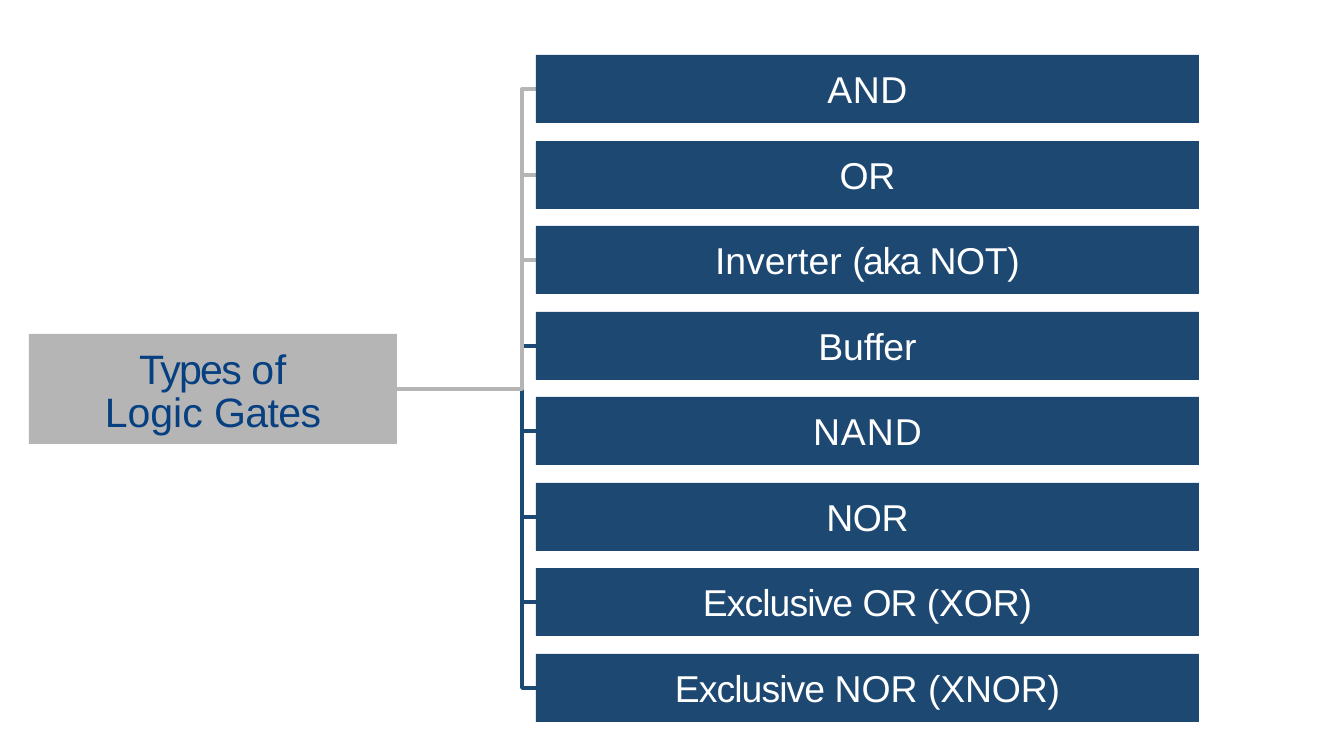
from dataclasses import dataclass

from pptx import Presentation
from pptx.dml.color import RGBColor
from pptx.enum.shapes import MSO_SHAPE
from pptx.enum.text import MSO_ANCHOR, PP_ALIGN
from pptx.util import Pt

RECTANGLE = MSO_SHAPE.RECTANGLE
MIDDLE = MSO_ANCHOR.MIDDLE
CENTER = PP_ALIGN.CENTER

# Each label is a list of (text, letter spacing in points).
ROOT_LABEL = [("Types ", -0.9), ("of ", 0.3), ("Logic ", 0), ("Gates", -0.3)]
GATE_LABELS = [
    [("AND", 0.3)],
    [("OR", -0.2)],
    [("Inverter ", 0), ("(aka ", -0.8), ("NOT)", -0.2)],
    [("Buffer", -0.1)],
    [("NAND", 0.5)],
    [("NOR", -0.2)],
    [("Exclusive ", -0.5), ("OR ", -0.6), ("(XOR)", -0.1)],
    [("Exclusive ", -0.5), ("NOR ", 0), ("(XNOR)", -0.1)],
]
GREY_BRANCHES = 3  # the first branches are grey, the rest blue


@dataclass(frozen=True)
class Theme:
    font: str = "Arial"
    root_size: int = 22
    gate_size: int = 20
    root_leading: int = 23
    line_width: int = 2
    grey: str = "B5B5B5"
    gate_fill: str = "1D4871"
    blue_line: str = "1B4A75"
    root_text: str = "074080"
    gate_text: str = "FFFFFF"


THEME = Theme()

# Lengths in px
PX = 914400 / 134.4
SLIDE_WIDTH, SLIDE_HEIGHT = 1344, 756
ROOT_LEFT, ROOT_TOP, ROOT_WIDTH, ROOT_HEIGHT = 29, 334, 368, 110
ROOT_SIDE_INSET, ROOT_TOP_INSET = 67, 7
GATE_LEFT, GATE_WIDTH, GATE_HEIGHT = 536, 663, 68
FIRST_GATE_TOP, LAST_GATE_TOP = 55, 654
TRUNK_X = 522


def emu(px):
    return round(px * PX)


def add_box(slide, bounds, fill, label, size, color, side_inset=0, top_inset=0):
    shape = slide.shapes.add_shape(RECTANGLE, *map(emu, bounds))
    shape.shadow.inherit = False
    shape.fill.solid()
    shape.fill.fore_color.rgb = RGBColor.from_string(fill)
    shape.line.fill.background()
    frame = shape.text_frame
    frame.word_wrap = True
    frame.vertical_anchor = MIDDLE
    frame.margin_left = frame.margin_right = emu(side_inset)
    frame.margin_top, frame.margin_bottom = emu(top_inset), 0
    paragraph = frame.paragraphs[0]
    paragraph.alignment = CENTER
    for text, spacing in label:
        run = paragraph.add_run()
        run.text = text
        run.font.name = THEME.font
        run.font.size = Pt(size)
        run.font.color.rgb = RGBColor.from_string(color)
        run._r.get_or_add_rPr().set("spc", str(round(spacing * 100)))
    return shape


def add_branch(slide, gate_y, color):
    """Draw the bent line from the root box to one gate."""
    root_right, root_y = ROOT_LEFT + ROOT_WIDTH, ROOT_TOP + ROOT_HEIGHT // 2
    builder = slide.shapes.build_freeform(root_right, root_y, scale=PX)
    builder.add_line_segments(
        [(TRUNK_X, root_y), (TRUNK_X, gate_y), (GATE_LEFT, gate_y)], close=False)
    branch = builder.convert_to_shape()
    branch.shadow.inherit = False
    branch.fill.background()
    branch.line.color.rgb = RGBColor.from_string(color)
    branch.line.width = Pt(THEME.line_width)


def main():
    presentation = Presentation()
    presentation.slide_width = emu(SLIDE_WIDTH)
    presentation.slide_height = emu(SLIDE_HEIGHT)
    slide = presentation.slides.add_slide(presentation.slide_layouts[6])

    pitch = (LAST_GATE_TOP - FIRST_GATE_TOP) / (len(GATE_LABELS) - 1)
    gate_tops = [round(FIRST_GATE_TOP + i * pitch) for i in range(len(GATE_LABELS))]

    # Last to first, so that the grey branches lie on top.
    for i, top in reversed(list(enumerate(gate_tops))):
        color = THEME.grey if i < GREY_BRANCHES else THEME.blue_line
        add_branch(slide, top + GATE_HEIGHT // 2, color)

    root = add_box(slide, (ROOT_LEFT, ROOT_TOP, ROOT_WIDTH, ROOT_HEIGHT),
                   THEME.grey, ROOT_LABEL, THEME.root_size, THEME.root_text,
                   ROOT_SIDE_INSET, ROOT_TOP_INSET)
    root.text_frame.paragraphs[0].line_spacing = Pt(THEME.root_leading)

    for top, label in zip(gate_tops, GATE_LABELS):
        add_box(slide, (GATE_LEFT, top, GATE_WIDTH, GATE_HEIGHT),
                THEME.gate_fill, label, THEME.gate_size, THEME.gate_text)

    presentation.save("out.pptx")


if __name__ == "__main__":
    main()
